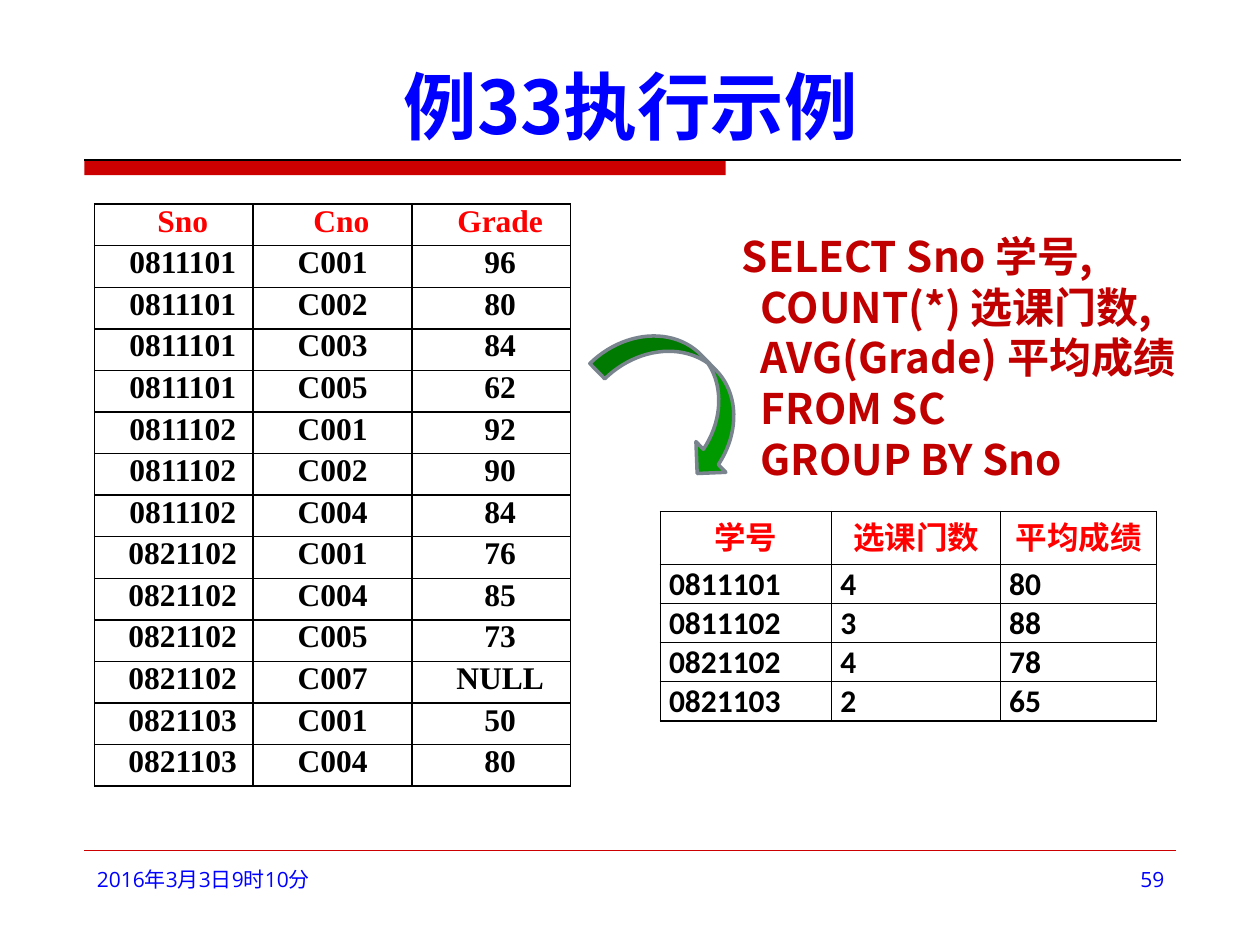
from lxml import etree
from pptx import Presentation, util as u
from pptx.dml.color import RGBColor
from pptx.enum import shapes, text
from pptx.oxml.ns import qn

RED = RGBColor(0xCC, 0, 0)
HEAD = RGBColor(0xFF, 0, 0)
DARK = RGBColor(0xC0, 0, 0)
BLUE = RGBColor(0, 0, 0xFF)
BLACK = RGBColor(0, 0, 0)
GREEN = RGBColor(0, 0x99, 0)
GRAY = RGBColor(0x79, 0x84, 0x8F)
SANS = "Noto Sans CJK SC"
ALIGN = text.PP_ALIGN
KIND = shapes.MSO_SHAPE


class Deck:
    """Draws styled elements on the current slide."""

    def __init__(self, wide, high):
        self.prs = Presentation()
        self.prs.slide_width = u.Inches(wide)
        self.prs.slide_height = u.Inches(high)
        self.slide = self.prs.slides.add_slide(self.prs.slide_layouts[6])
        self.shapes = self.slide.shapes

    def style(self, para, words, font, size, color, bold=False, **form):
        run = para.add_run()
        run.text = words
        for key, val in dict(name=font, size=u.Pt(size), bold=bold).items():
            setattr(run.font, key, val)
        run.font.color.rgb = color
        east = etree.SubElement(run.font._element, qn("a:ea"))
        east.set("typeface", SANS)
        for key, val in form.items():
            setattr(para, key, val)

    def indent(self, para, left=0, first=0):
        prop = para._p.get_or_add_pPr()
        prop.set("marL", str(u.Inches(left)))
        prop.set("indent", str(u.Inches(first)))

    def label(self, box, lines, *look, left=0, anchor=text.MSO_ANCHOR.TOP, **form):
        frame = self.shapes.add_textbox(*map(u.Inches, box)).text_frame
        frame.word_wrap = True
        frame.vertical_anchor = anchor
        for num, line in enumerate(lines):
            para = frame.add_paragraph() if num else frame.paragraphs[0]
            self.style(para, line, *look, **form)
            if num:
                self.indent(para, left)

    def rule(self, x, y, end, color, width):
        line = self.shapes.add_connector(
            shapes.MSO_CONNECTOR.STRAIGHT, *map(u.Inches, (x, y, end, y)))
        line.line.color.rgb = color
        line.line.width = u.Pt(width)
        etree.SubElement(line._element.spPr, qn("a:effectLst"))

    def shape(self, kind, box, fill, edge=None, width=0, turn=0):
        item = self.shapes.add_shape(kind, *map(u.Inches, box))
        item.shadow.inherit = False
        item.rotation = turn
        item.fill.solid()
        item.fill.fore_color.rgb = fill
        if edge is None:
            item.line.fill.background()
        else:
            item.line.color.rgb = edge
            item.line.width = u.Pt(width)

    def border(self, cell):
        prop = cell._tc.get_or_add_tcPr()
        for num, side in enumerate(("lnL", "lnR", "lnT", "lnB")):
            line = etree.Element(qn("a:" + side), w=str(u.Pt(1)))
            fill = etree.SubElement(line, qn("a:solidFill"))
            etree.SubElement(fill, qn("a:srgbClr"), val=str(BLACK))
            prop.insert(num, line)

    def table(self, x, y, cols, rows, data, font, align, top=0, shifts=(0, 0, 0)):
        size = (x, y, sum(cols), sum(rows))
        grid = self.shapes.add_table(
            len(rows), len(cols), *map(u.Inches, size)).table
        grid.first_row = grid.horz_banding = False
        for col, wide in zip(grid.columns, cols):
            col.width = u.Inches(wide)
        pad = dict(margin_left=0.07, margin_right=0.07, margin_top=top, margin_bottom=0)
        for r, (high, vals) in enumerate(zip(rows, data)):
            grid.rows[r].height = u.Inches(high)
            for c, val in enumerate(vals):
                cell = grid.cell(r, c)
                for key, gap in pad.items():
                    setattr(cell, key, u.Inches(gap))
                cell.fill.background()
                self.border(cell)
                para = cell.text_frame.paragraphs[0]
                self.style(para, val, font, 18, BLACK if r else HEAD, True,
                           alignment=align if r else ALIGN.CENTER)
                self.indent(para, first=shifts[c] if r else max(shifts))


GRADES = {
    "0811101": "C001 96 C002 80 C003 84 C005 62",
    "0811102": "C001 92 C002 90 C004 84",
    "0821102": "C001 76 C004 85 C005 73 C007 NULL",
    "0821103": "C001 50 C004 80",
}
marks = [("Sno", "Cno", "Grade")]
for sno, line in GRADES.items():
    part = line.split()
    marks += [(sno, cno, mark) for cno, mark in zip(part[::2], part[1::2])]

means = [("学号", "选课门数", "平均成绩"), ("0811101", "4", "80"),
         ("0811102", "3", "88"), ("0821102", "4", "78"), ("0821103", "2", "65")]
query = ["SELECT Sno 学号, ", "COUNT(*) 选课门数, ", "AVG(Grade) 平均成绩 ",
         "FROM SC ", "GROUP BY Sno"]

deck = Deck(10, 7.5)
deck.shape(KIND.RECTANGLE, (0.67, 1.27, 5.09, 0.12), RED)
deck.rule(0.67, 1.27, 9.37, BLACK, 0.75)
deck.rule(0.67, 6.75, 9.33, RED, 0.25)
deck.label((0.63, 0.33, 8.75, 0.9), ["例33执行示例"], SANS, 42, BLUE, True,
           anchor=text.MSO_ANCHOR.BOTTOM, alignment=ALIGN.CENTER)
deck.label((0.67, 6.83, 2.21, 0.52), ["2016年3月3日9时10分"], "Open Sans", 12, BLUE)
deck.label((7.17, 6.83, 2.17, 0.52), ["59"], "Open Sans", 12, BLUE,
           alignment=ALIGN.RIGHT)
deck.table(0.75, 1.62, [1.26] * 3, [0.33] * len(marks), marks,
           "Times New Roman", ALIGN.CENTER, shifts=(0.14, 0, 0.14))
deck.table(5.24, 4.06, [1.36, 1.34, 1.24], [0.42] + [0.31] * 4, means,
           "Calibri", ALIGN.JUSTIFY, top=0.01)
deck.shape(KIND.CURVED_LEFT_ARROW, (5.07, 2.45, 0.68, 1.39), GREEN, GRAY, 2, 315.7)
deck.label((5.79, 1.78, 3.78, 2.12), query, SANS, 24, DARK, True,
           left=0.15, line_spacing=u.Pt(28.9))
deck.prs.save("out.pptx")
